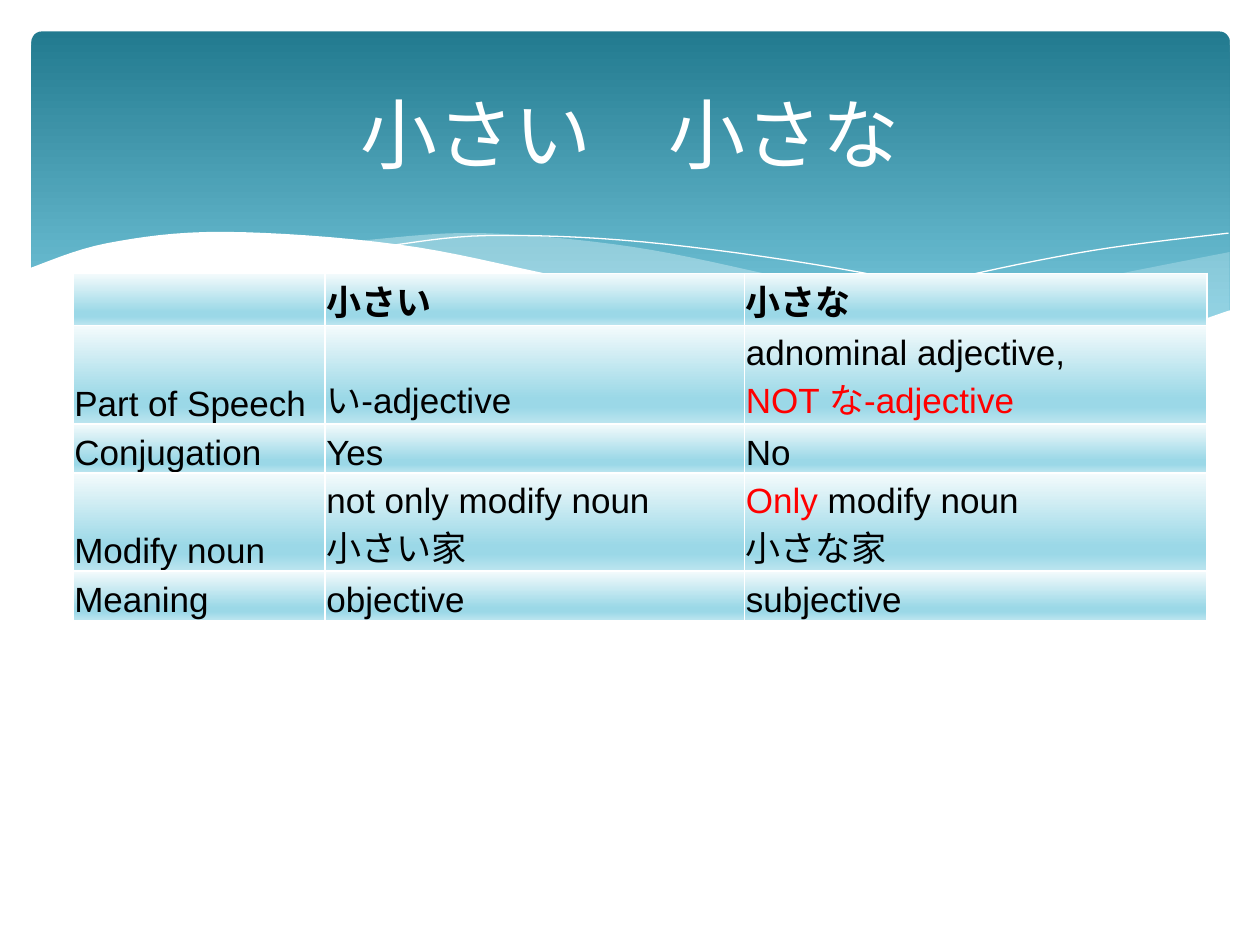
from dataclasses import dataclass, field
from typing import Optional

from lxml.etree import SubElement
from pptx import Presentation
from pptx.dml.color import RGBColor
from pptx.enum.shapes import MSO_SHAPE
from pptx.enum.text import MSO_ANCHOR, PP_ALIGN
from pptx.oxml.ns import qn
from pptx.util import Inches, Pt

WHITE = RGBColor.from_string("FFFFFF")
BLACK = RGBColor.from_string("000000")
RED = RGBColor.from_string("FF0000")
MIST = RGBColor.from_string("DEF5FA")
BANNER_STOPS = {0: RGBColor.from_string("227A8F"), 90: RGBColor.from_string("7ACBE0")}
CELL_STOPS = {
    0: RGBColor.from_string("F4FBFC"),
    74: RGBColor.from_string("9BD8E7"),
    83: RGBColor.from_string("9BD8E7"),
    100: RGBColor.from_string("BCE5EF"),
}
CURVE_STEPS = 8

Point = tuple[float, float]


@dataclass
class Wave:
    """A filled wave, or a white hairline where there is no fill."""
    crest: list[Point]
    lower_curve: list[Point] = field(default_factory=list)
    corners: list[Point] = field(default_factory=list)
    fill: Optional[RGBColor] = None
    opacity: int = 100


@dataclass
class Segment:
    text: str
    color: RGBColor = BLACK


WAVES = [
    Wave([(9.76, 2), (8.61, 2.23), (7.53, 2.48), (6.61, 2.65)],
         [(6.61, 2.65), (7.45, 2.75), (8.35, 2.77), (9.21, 2.65), (9.76, 2.47)],
         fill=MIST, opacity=29),
    Wave([(8.93, 2.73), (7.75, 2.54), (6.29, 2.22), (5.02, 1.96), (3.8, 1.85), (2.86, 1.91)],
         [(2.86, 1.91), (4.49, 2.22), (6.01, 2.55), (7.48, 2.76), (8.93, 2.73)],
         fill=MIST, opacity=40),
    Wave([(3.09, 1.95), (3.87, 1.87), (5.1, 1.92), (6.65, 2.13), (7.95, 2.41), (9.07, 2.72)]),
    Wave([(6.13, 2.57), (7.48, 2.23), (8.66, 1.99), (9.75, 1.85)]),
    Wave([(9.77, 2.46), (8.99, 2.69), (7.93, 2.76), (6.48, 2.62), (4.47, 2.2),
          (3.16, 1.94), (1.77, 1.84), (0.85, 1.93), (0.23, 2.13)],
         corners=[(0.23, 3.29), (9.77, 3.29)], fill=WHITE),
]

COLUMN_WIDTHS = [2, 3.33, 3.67]
ROW_HEIGHTS = [0.4, 0.78, 0.39, 0.78, 0.39]
ROWS = [
    [[], [Segment("小さい")], [Segment("小さな")]],
    [[Segment("Part of Speech")], [Segment("い-adjective")],
     [Segment("adnominal adjective, \n"), Segment("NOT な-adjective", RED)]],
    [[Segment("Conjugation")], [Segment("Yes")], [Segment("No")]],
    [[Segment("Modify noun")], [Segment("not only modify noun\n小さい家")],
     [Segment("Only ", RED), Segment("modify noun\n小さな家")]],
    [[Segment("Meaning")], [Segment("objective")], [Segment("subjective")]],
]


def smooth(anchors: list[Point]) -> list[Point]:
    """Points on a Catmull-Rom curve through the anchors."""
    if not anchors:
        return []
    padded = [anchors[0], *anchors, anchors[-1]]
    points = [anchors[0]]
    for before, start, end, after in zip(padded, padded[1:], padded[2:], padded[3:]):
        for step in range(1, CURVE_STEPS + 1):
            t = step / CURVE_STEPS
            x, y = (
                b + (c - a) / 2 * t + (2 * a - 5 * b + 4 * c - d) / 2 * t ** 2
                + (3 * b - a - 3 * c + d) / 2 * t ** 3
                for a, b, c, d in zip(before, start, end, after))
            points.append((x, y))
    return points


def set_gradient(owner, properties, stops: dict[int, RGBColor]) -> None:
    """Fill a shape or cell from top to bottom; properties is its XML properties element."""
    owner.fill.gradient()
    owner.fill.gradient_angle = 270
    stop_list = properties.find(qn("a:gradFill")).find(qn("a:gsLst"))
    for old_stop in list(stop_list):
        stop_list.remove(old_stop)
    for position, color in stops.items():
        stop = SubElement(stop_list, qn("a:gs"), pos=str(position * 1000))
        SubElement(stop, qn("a:srgbClr"), val=str(color))


def add_banner(slide) -> None:
    banner = slide.shapes.add_shape(
        MSO_SHAPE.ROUNDED_RECTANGLE, Inches(0.25), Inches(0.25), Inches(9.51), Inches(2.7))
    banner.adjustments[0] = 0.03
    banner.shadow.inherit = False
    banner.line.fill.background()
    set_gradient(banner, banner._element.spPr, BANNER_STOPS)


def add_wave(slide, wave: Wave) -> None:
    outline = smooth(wave.crest) + smooth(wave.lower_curve) + wave.corners
    start, *rest = [(Inches(x), Inches(y)) for x, y in outline]
    builder = slide.shapes.build_freeform(*start)
    builder.add_line_segments(rest, close=wave.fill is not None)
    shape = builder.convert_to_shape()
    shape.shadow.inherit = False
    if wave.fill is None:
        shape.fill.background()
        shape.line.color.rgb = WHITE
        shape.line.width = Pt(0)
        return
    shape.line.fill.background()
    shape.fill.solid()
    shape.fill.fore_color.rgb = wave.fill
    if wave.opacity < 100:
        color = shape._element.spPr.find(qn("a:solidFill"))[0]
        SubElement(color, qn("a:alpha"), val=str(wave.opacity * 1000))


def add_borders(properties) -> None:
    for side in ("lnL", "lnR", "lnT", "lnB"):
        border = SubElement(properties, qn(f"a:{side}"), w=str(Pt(1)))
        fill = SubElement(border, qn("a:solidFill"))
        SubElement(fill, qn("a:srgbClr"), val=str(WHITE))


def fill_cell(cell, segments: list[Segment], bold: bool) -> None:
    cell.margin_left = cell.margin_right = cell.margin_top = Inches(0.01)
    cell.margin_bottom = 0
    cell.vertical_anchor = MSO_ANCHOR.BOTTOM
    properties = cell._tc.get_or_add_tcPr()
    add_borders(properties)
    set_gradient(cell, properties, CELL_STOPS)

    paragraph = cell.text_frame.paragraphs[0]
    paragraph.font.name = "Arial"
    paragraph.font.size = Pt(20)
    paragraph.font.bold = bold
    for segment in segments:
        for index, line in enumerate(segment.text.split("\n")):
            if index:
                paragraph.add_line_break()
            if line:
                run = paragraph.add_run()
                run.text = line
                run.font.bold = bold
                run.font.color.rgb = segment.color


def add_comparison_table(slide) -> None:
    table = slide.shapes.add_table(
        len(ROWS), len(COLUMN_WIDTHS), Inches(0.58), Inches(2.17),
        Inches(sum(COLUMN_WIDTHS)), Inches(sum(ROW_HEIGHTS))).table
    table.horz_banding = False
    for column, width in zip(table.columns, COLUMN_WIDTHS):
        column.width = Inches(width)
    for row_index, (row, height) in enumerate(zip(table.rows, ROW_HEIGHTS)):
        row.height = Inches(height)
        for cell, segments in zip(row.cells, ROWS[row_index]):
            fill_cell(cell, segments, bold=row_index == 0)


def place_title(slide) -> None:
    """Format the title and bring it in front of the banner."""
    title = slide.shapes.title
    title.left, title.top = Inches(0.5), Inches(0.37)
    title.width, title.height = Inches(9), Inches(1.37)
    title.text_frame.text = "小さい　小さな"
    title.text_frame.vertical_anchor = MSO_ANCHOR.MIDDLE
    paragraph = title.text_frame.paragraphs[0]
    paragraph.alignment = PP_ALIGN.CENTER
    paragraph.font.name = "Cabin"
    paragraph.font.size = Pt(44)
    paragraph.font.color.rgb = WHITE
    slide.shapes._spTree.append(title._element)


def main() -> None:
    presentation = Presentation()
    presentation.slide_width, presentation.slide_height = Inches(10), Inches(7.5)
    slide = presentation.slides.add_slide(presentation.slide_layouts[5])
    add_banner(slide)
    for wave in WAVES:
        add_wave(slide, wave)
    add_comparison_table(slide)
    place_title(slide)
    presentation.save("out.pptx")


if __name__ == "__main__":
    main()
